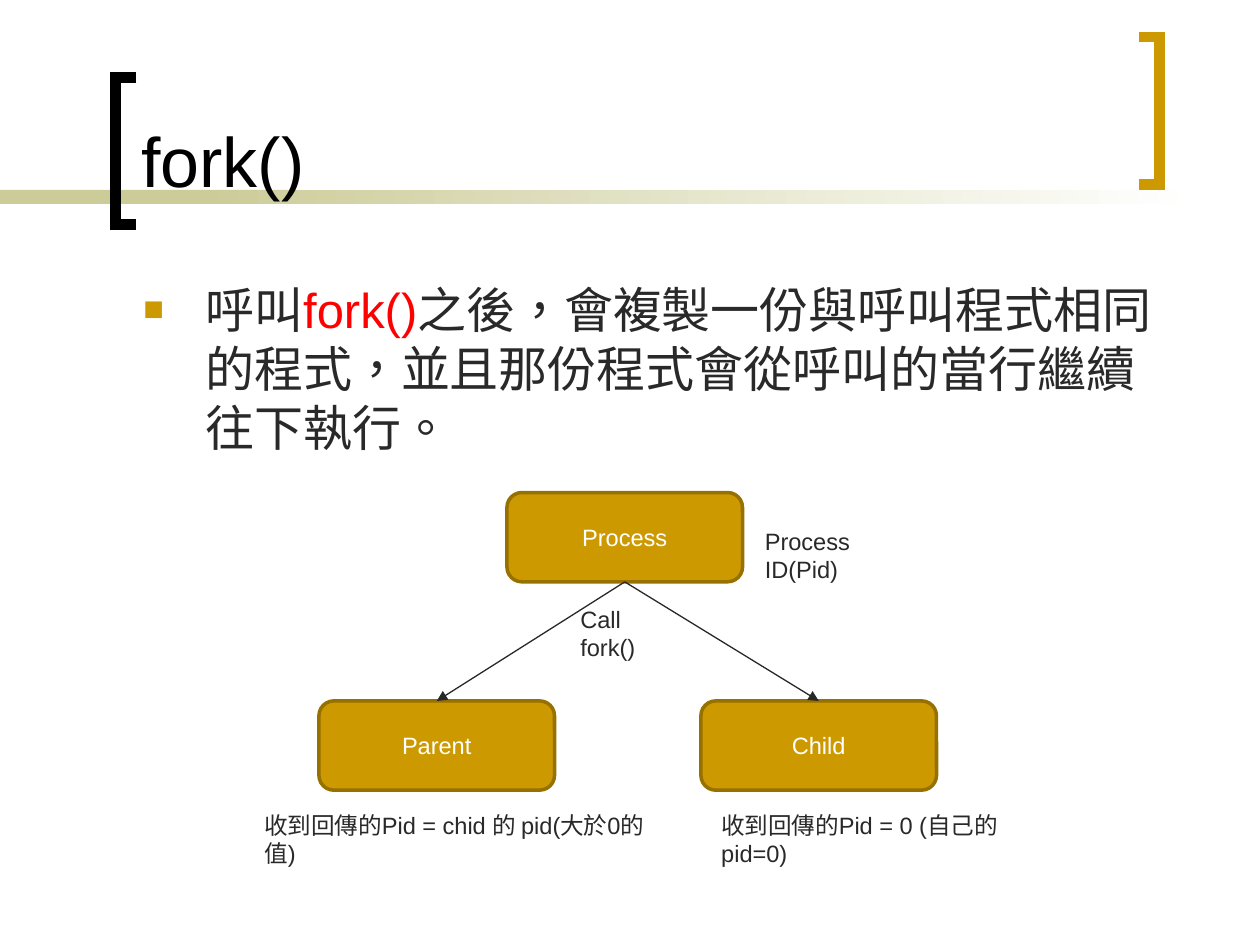
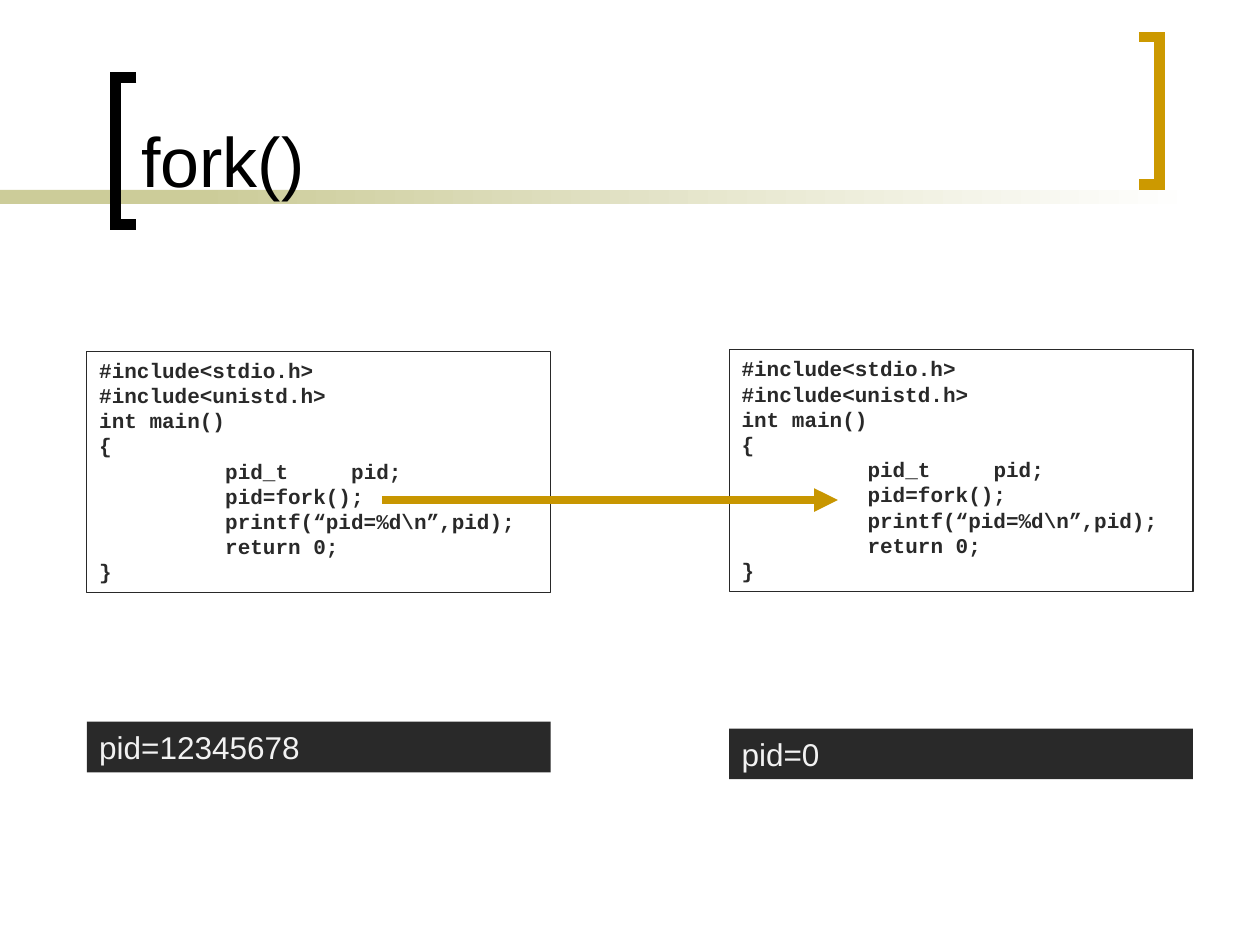
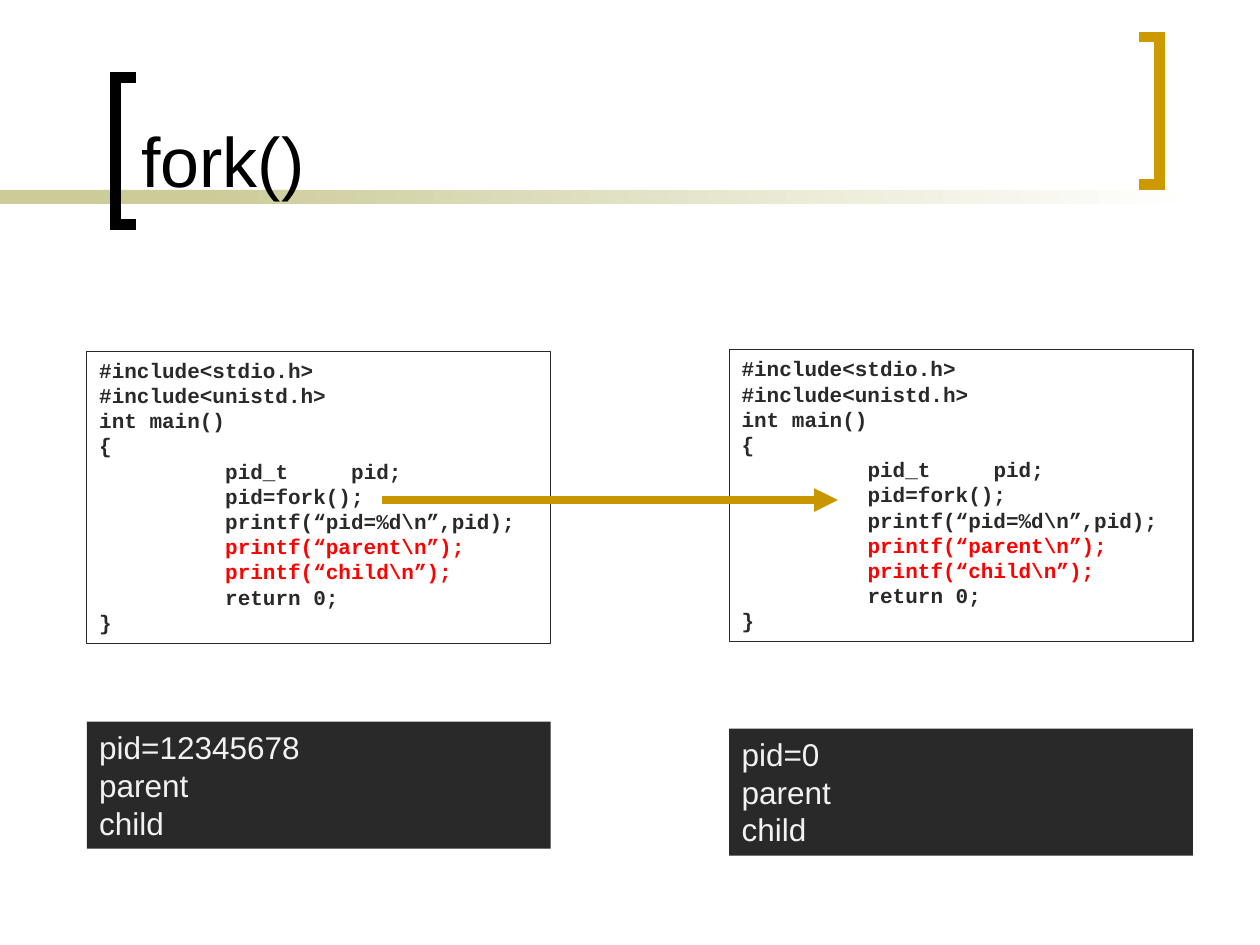
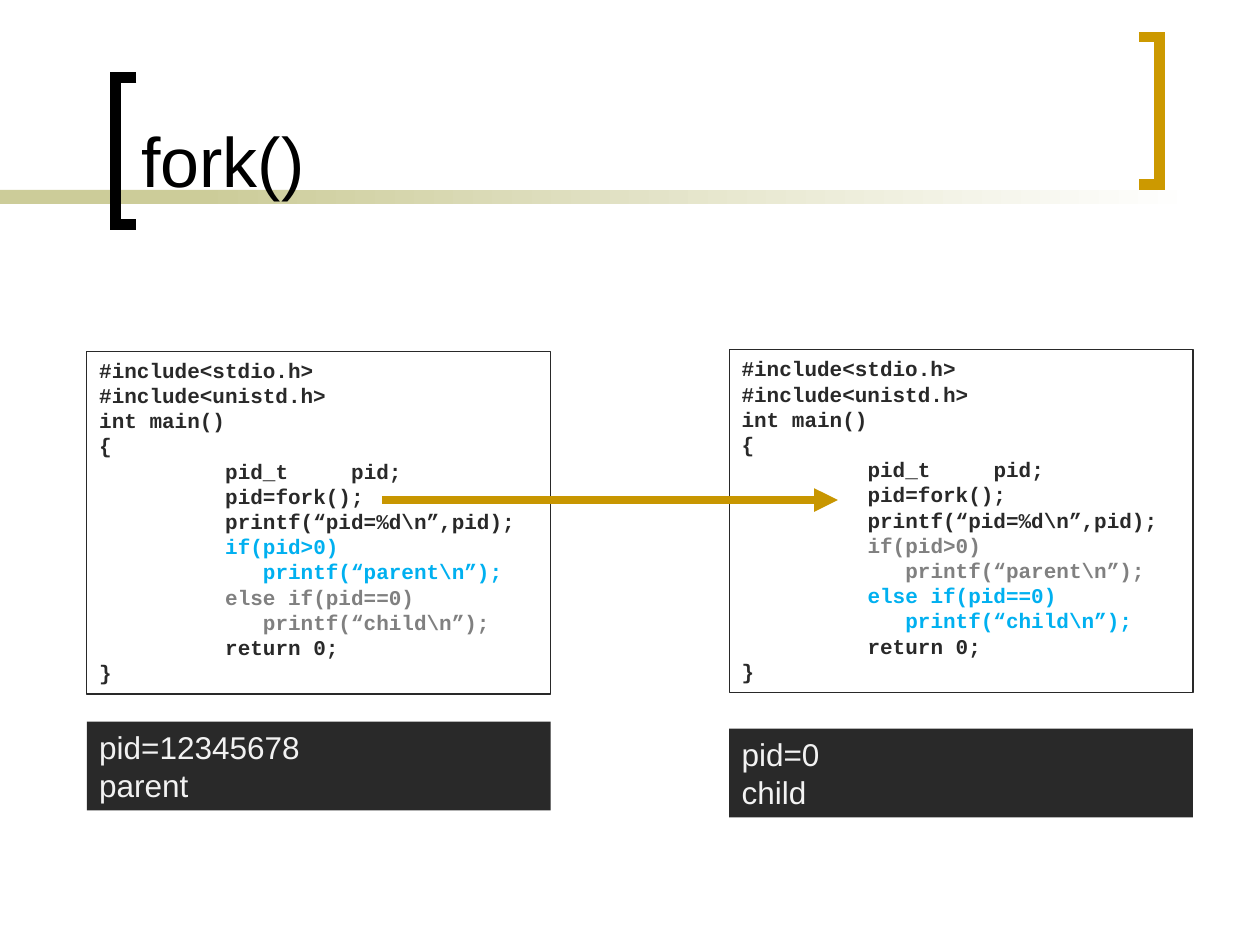
from lxml import etree
from pptx import Presentation
from pptx import util as u
from pptx.dml.color import RGBColor
from pptx.enum import shapes, text
from pptx.oxml import ns

# Colours and fonts
INK, GOLD, RED, BLUE, GREY = "292929", "CC9900", "FF0000", "00B0F0", "808080"
BLACK, WHITE, SAND, PALE = "000000", "FFFFFF", "CCCC99", "F2F2F2"
BOX_LINE, LINK, ARROW = "977100", "282828", "C89600"
SANS, MONO = "Arial", "Courier New"

# Content: a run is (text, colour)
TITLE = "fork()"
BULLET = [("呼叫", INK), ("fork()", RED),
          ("之後，會複製一份與呼叫程式相同的程式，並且那份程式會從呼叫的當行繼續往下執行。", INK)]

PROCESS_BOXES = {"Process": (10.22, 9.93), "Parent": (6.43, 14.13), "Child": (14.13, 14.13)}
FORKS = [("Process", "Parent"), ("Process", "Child")]
LABELS = [  # text, left, top, width
    ("Call fork()", 11.45, 12.07, 2.41),
    ("收到回傳的Pid = 0 (自己的pid=0)", 14.29, 16.22, 7.19),
    ("收到回傳的Pid = chid 的 pid(大於0的值)", 5.08, 16.22, 8.59),
    ("Process ID(Pid)", 15.17, 10.49, 3.43),
]

CODE_START = ["#include<stdio.h>", "#include<unistd.h>", "int main()", "{",
              "\tpid_t\tpid;", "\tpid=fork();", "\tprintf(“pid=%d\\n”,pid);"]
CODE_END = ["\treturn 0;", "}"]
BOTH_PRINTS = [("\tprintf(“parent\\n”);", RED), ("\tprintf(“child\\n”);", RED)]


def branches(parent_colour, child_colour):
    return [("\tif(pid>0)", parent_colour), ("\t   printf(“parent\\n”);", parent_colour),
            ("\telse if(pid==0)", child_colour), ("\t   printf(“child\\n”);", child_colour)]


# Each slide: (extra code, printed lines) for the parent, then for the child
CODE_SLIDES = [
    [([], ["pid=12345678"]), ([], ["pid=0"])],
    [(BOTH_PRINTS, ["pid=12345678", "parent", "child"]),
     (BOTH_PRINTS, ["pid=0", "parent", "child"])],
    [(branches(BLUE, GREY), ["pid=12345678", "parent"]),
     (branches(GREY, BLUE), ["pid=0", "child"])],
]

# Places in cm
BOX_SIZE = (4.75, 1.8)
PANEL_WIDTH = 9.35
PANELS = [(1.75, 7.08, 14.55), (14.7, 7.05, 14.69)]  # left, code top, output top
TAB_STOPS = (2.54, 5.08)


def rgb(colour):
    return RGBColor.from_string(colour)


def cm(*lengths):
    return [u.Cm(length) for length in lengths]


def set_all(target, values):
    for name, value in values.items():
        setattr(target, name, value)


def add_line_style(shape, colour, width):
    shape.line.color.rgb = rgb(colour)
    shape.line.width = u.Pt(width)


def write(shape, paragraphs, size, font=SANS, bold=False, align=text.PP_ALIGN.LEFT, **frame_values):
    """Fill a shape with paragraphs, each a list of (text, colour) runs."""
    frame = shape.text_frame
    set_all(frame, {"word_wrap": True, "vertical_anchor": text.MSO_ANCHOR.TOP, **frame_values})
    for index, runs in enumerate(paragraphs):
        paragraph = frame.add_paragraph() if index else frame.paragraphs[0]
        paragraph.alignment = align
        for words, colour in runs:
            run = paragraph.add_run()
            run.text = words
            set_all(run.font, {"name": font, "size": u.Pt(size), "bold": bold})
            run.font.color.rgb = rgb(colour)
            run._r.get_or_add_rPr().set("lang", "zh-TW" if font == SANS else "en-US")
    return frame


def add_box(slide, place, fill=None, line=None, kind=shapes.MSO_SHAPE.RECTANGLE):
    shape = slide.shapes.add_shape(kind, *cm(*place))
    shape.shadow.inherit = False
    if fill:
        shape.fill.solid()
        shape.fill.fore_color.rgb = rgb(fill)
    else:
        shape.fill.background()
    if line:
        add_line_style(shape, *line)
    else:
        shape.line.fill.background()
    return shape


def add_text(slide, place, paragraphs, size, **values):
    return write(slide.shapes.add_textbox(*cm(*place)), paragraphs, size, **values)


def add_arrow(slide, start, end, colour, width):
    arrow = slide.shapes.add_connector(shapes.MSO_CONNECTOR.STRAIGHT, *cm(*start, *end))
    add_line_style(arrow, colour, width)
    etree.SubElement(arrow.line._get_or_add_ln(), ns.qn("a:tailEnd"), type="triangle")
    etree.SubElement(arrow._element.spPr, ns.qn("a:effectLst"))
    return arrow


def add_bracket(slide, spine, tip, top, colour):
    bottom = top + 2.97
    points = [tuple(cm(*point)) for point in
              [(tip, top), (spine, top), (spine, bottom), (tip, bottom)]]
    builder = slide.shapes.build_freeform(*points[0])
    builder.add_line_segments(points[1:], close=False)
    bracket = builder.convert_to_shape()
    bracket.shadow.inherit = False
    bracket.fill.background()
    add_line_style(bracket, colour, 6)
    etree.SubElement(bracket.line._get_or_add_ln(), ns.qn("a:miter"), lim="800000")


def add_base_slide(presentation):
    """Blank slide with the band, the brackets and the title."""
    slide = presentation.slides.add_slide(presentation.slide_layouts[6])
    add_box(slide, (0, 3.83, 5.92, 0.28), SAND)
    fade = add_box(slide, (4.01, 3.83, 20.12, 0.28), SAND).fill
    fade.gradient()
    fade.gradient_angle = 0
    for stop, position, colour in zip(fade.gradient_stops, (0, 1), (SAND, WHITE)):
        stop.position = position
        stop.color.rgb = rgb(colour)
    add_bracket(slide, 2.33, 2.75, 1.56, BLACK)
    add_bracket(slide, 23.38, 22.96, 0.75, GOLD)
    add_text(slide, (2.6, 0.28, 19.89, 3.9), [[(TITLE, BLACK)]], 40,
             vertical_anchor=text.MSO_ANCHOR.BOTTOM)
    return slide


def add_bullet(paragraph):
    properties = paragraph._p.get_or_add_pPr()
    properties.set("marL", str(u.Cm(1.25)))
    properties.set("indent", str(u.Cm(-1.25)))
    spacing = etree.SubElement(properties, ns.qn("a:spcBef"))
    etree.SubElement(spacing, ns.qn("a:spcPct"), val="20000")
    colour = etree.SubElement(properties, ns.qn("a:buClr"))
    etree.SubElement(colour, ns.qn("a:srgbClr"), val=GOLD)
    etree.SubElement(properties, ns.qn("a:buSzPct"), val="70000")
    etree.SubElement(properties, ns.qn("a:buFont"), typeface=SANS)
    etree.SubElement(properties, ns.qn("a:buChar"), char="■")


def add_tab_stops(paragraph):
    stops = etree.SubElement(paragraph._p.get_or_add_pPr(), ns.qn("a:tabLst"))
    for position in cm(*TAB_STOPS):
        etree.SubElement(stops, ns.qn("a:tab"), pos=str(position), algn="l")


def add_process_slide(presentation):
    slide = add_base_slide(presentation)
    body = add_text(slide, (2.64, 5.51, 21.29, 11.43), [BULLET], 28)
    add_bullet(body.paragraphs[0])

    # Process tree
    boxes = {}
    for name, place in PROCESS_BOXES.items():
        boxes[name] = add_box(slide, place + BOX_SIZE, GOLD, (BOX_LINE, 2),
                              shapes.MSO_SHAPE.ROUNDED_RECTANGLE)
        write(boxes[name], [[(name, WHITE)]], 13.5, align=text.PP_ALIGN.CENTER,
              vertical_anchor=text.MSO_ANCHOR.MIDDLE)
    for source, target in FORKS:
        arrow = add_arrow(slide, PROCESS_BOXES[source], PROCESS_BOXES[target], LINK, 0.75)
        arrow.begin_connect(boxes[source], 2)
        arrow.end_connect(boxes[target], 0)
    for words, left, top, width in LABELS:
        add_text(slide, (left, top, width, 0.84), [[(words, INK)]], 13.5)


def add_code_slide(presentation, processes):
    slide = add_base_slide(presentation)
    grow = {"auto_size": text.MSO_AUTO_SIZE.SHAPE_TO_FIT_TEXT}

    # Program of each process
    for (left, top, _), (extra, _) in zip(PANELS, processes):
        lines = ([(line, INK) for line in CODE_START] + extra
                 + [(line, INK) for line in CODE_END])
        panel = add_box(slide, (left, top, PANEL_WIDTH, 0.28 + 0.51 * len(lines)),
                        line=(INK, 0.75))
        frame = write(panel, [[line] for line in lines], 12, font=MONO, bold=True, **grow)
        for paragraph in frame.paragraphs:
            add_tab_stops(paragraph)
    add_arrow(slide, (7.7, 10.08), (16.89, 10.08), ARROW, 4.5)

    # What each process prints
    for (left, _, top), (_, printed) in zip(PANELS, processes):
        panel = add_box(slide, (left, top, PANEL_WIDTH, 0.25 + 0.77 * len(printed)), INK)
        write(panel, [[(line, PALE)] for line in printed], 18, **grow)


def main():
    presentation = Presentation()
    presentation.slide_width, presentation.slide_height = cm(25.4, 19.05)
    add_process_slide(presentation)
    for processes in CODE_SLIDES:
        add_code_slide(presentation, processes)
    presentation.save("out.pptx")


if __name__ == "__main__":
    main()
